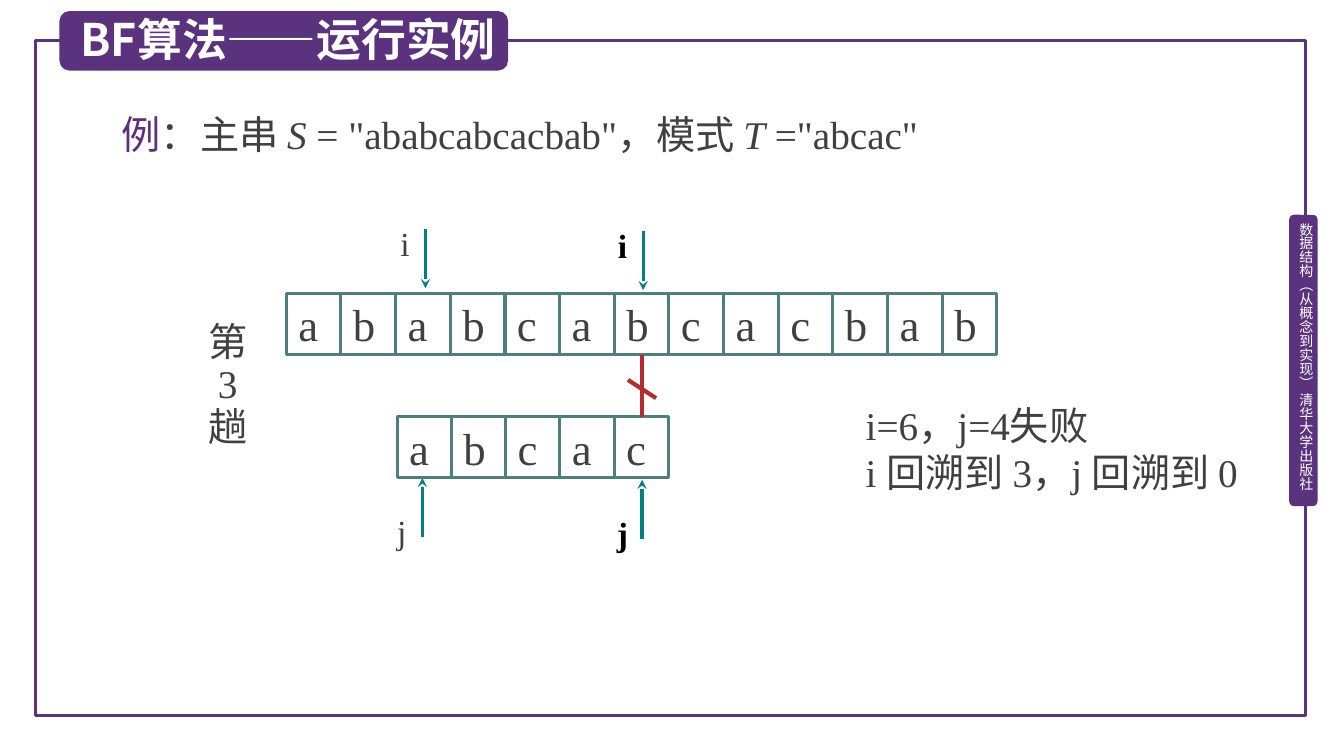
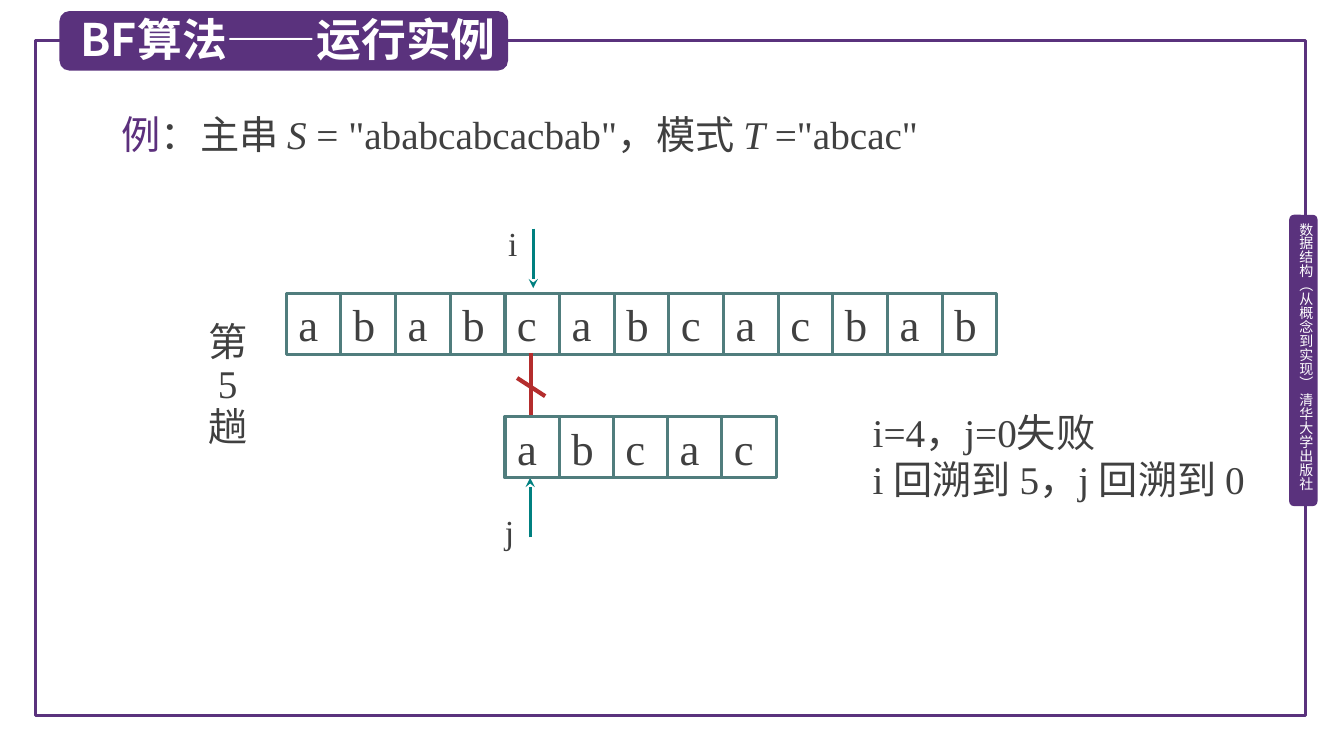
from lxml.etree import SubElement
from pptx import Presentation
from pptx.dml.color import RGBColor
from pptx.enum.shapes import MSO_CONNECTOR as Connector, MSO_SHAPE as Shape
from pptx.enum.text import MSO_ANCHOR as Anchor, MSO_AUTO_SIZE as AutoSize, PP_ALIGN as Align
from pptx.oxml.ns import qn
from pptx.util import Pt

COLORS = {
    "paper": "FFFFFF",
    "purple": "5A327D",
    "accent": "5C307D",
    "ink": "404040",
    "black": "000000",
    "cell": "507D7D",
    "arrow": "008080",
    "miss": "B42D2D",
}
SERIF = "Times New Roman"
SANS = "Noto Sans CJK SC"
MAIN = "ababcabcacbab"
PATTERN = "abcac"
MAIN_TOP, PATTERN_TOP, CELL_HEIGHT = 209.5, 297.4, 43.9
DEFAULT_INSETS = (7.2, 3.6, 7.2, 3.6)


def rgb(name):
    return RGBColor.from_string(COLORS[name])


class Deck:
    def __init__(self):
        self.show = Presentation()
        self.show.slide_width, self.show.slide_height = Pt(960), Pt(540)
        self.slide = None

    def new_slide(self):
        self.slide = self.show.slides.add_slide(self.show.slide_layouts[6])
        backdrop = self.slide.background.fill
        backdrop.solid()
        backdrop.fore_color.rgb = rgb("paper")
        self.box(Shape.RECTANGLE, 25.2, 28.8, 907.2, 482.4, line="purple")
        self.box(Shape.ROUNDED_RECTANGLE, 920.9, 153.4, 20.2, 208.1, fill="purple")
        self.text(926.6, 159.1, 12.2, 202.3, [[("数据结构（从概念到实现） 清华大学出版社", {})]],
                  insets=(0, 0, 0, 0), vertical=True, size=10, font=SANS, color="paper")
        self.box(Shape.ROUNDED_RECTANGLE, 42.5, 7.9, 320.4, 42.5, fill="purple")
        self.text(50.4, 5, 331.2, 46.1, [[("BF算法——运行实例", {"bold": True})]],
                  size=32, font=SANS, color="paper")

    def box(self, kind, left, top, width, height, fill=None, line=None):
        shape = self.slide.shapes.add_shape(kind, Pt(left), Pt(top), Pt(width), Pt(height))
        shape.shadow.inherit = False
        if fill:
            shape.fill.solid()
            shape.fill.fore_color.rgb = rgb(fill)
        else:
            shape.fill.background()
        if line:
            shape.line.color.rgb = rgb(line)
            shape.line.width = Pt(2.25)
        else:
            shape.line.fill.background()
        return shape

    def text(self, left, top, width, height, paragraphs, insets=DEFAULT_INSETS,
             vertical=False, align=Align.LEFT, spacing=None, **style):
        frame = self.slide.shapes.add_textbox(Pt(left), Pt(top), Pt(width), Pt(height)).text_frame
        self.set_frame(frame, insets, auto_size=AutoSize.SHAPE_TO_FIT_TEXT)
        if vertical:
            frame._txBody.bodyPr.set("vert", "eaVert")
        for index, runs in enumerate(paragraphs):
            paragraph = frame.add_paragraph() if index else frame.paragraphs[0]
            paragraph.alignment = align
            paragraph.line_spacing = spacing
            for words, changes in runs:
                self.run(paragraph, words, **{**style, **changes})

    def set_frame(self, frame, insets, **format_values):
        sides = ("margin_left", "margin_top", "margin_right", "margin_bottom")
        values = {**dict(zip(sides, map(Pt, insets))), "word_wrap": True, **format_values}
        for name, value in values.items():
            setattr(frame, name, value)

    def run(self, paragraph, words, size=28, font=SERIF, color="ink", **format_values):
        run = paragraph.add_run()
        run.text = words
        for name, value in {"size": Pt(size), "name": font, **format_values}.items():
            setattr(run.font, name, value)
        run.font.color.rgb = rgb(color)
        SubElement(run._r.get_or_add_rPr(), qn("a:ea")).set("typeface", SANS)

    def line(self, start, end, color, width=2.25, arrow=False):
        line = self.slide.shapes.add_connector(Connector.STRAIGHT, *map(Pt, start + end))
        line.line.color.rgb = rgb(color)
        line.line.width = Pt(width)
        if arrow:
            SubElement(line.get_or_add_ln(), qn("a:tailEnd")).set("type", "stealth")
        SubElement(line._element.spPr, qn("a:effectLst"))

    def cells(self, letters, left, top, width):
        pitch = width / len(letters)
        row = self.box(Shape.RECTANGLE, left, top, width, CELL_HEIGHT, line="cell")
        self.set_frame(row.text_frame, (8.6, 0, 1.4, 0), vertical_anchor=Anchor.MIDDLE)
        paragraph = row.text_frame.paragraphs[0]
        paragraph.alignment = Align.LEFT
        stops = SubElement(paragraph._p.get_or_add_pPr(), qn("a:tabLst"))
        for index in range(1, len(letters)):
            stop = SubElement(stops, qn("a:tab"))
            stop.set("pos", str(Pt(index * pitch)))
            stop.set("algn", "l")
            x = left + index * pitch
            self.line((x, top), (x, top + CELL_HEIGHT), "cell")
        self.run(paragraph, "\t".join(letters), size=32)

    def pointer(self, name, x, tail, head, label_top, **style):
        self.line((x, tail), (x, head), "arrow", arrow=True)
        self.text(x - 18, label_top, 18, 36, [[(name, {})]],
                  insets=(0, 3.6, 0, 3.6), size=24, **style)

    def pointers(self, i_x, j_x, drop=0, **style):
        self.pointer("i", i_x, 163.4 + drop, 205.9 + drop, 155.5 + drop, **style)
        self.pointer("j", j_x, 383.8 + drop, 341.3 + drop, 361.4 + drop, **style)

    def mismatch(self, x, top):
        self.line((x, top), (x, top + 44.6), "miss", 3)
        self.line((x - 10, top + 18), (x + 10, top + 31), "miss", 3)

    def matching_round(self, number, pattern_left, miss, result, result_place):
        self.new_slide()
        self.text(79.9, 75.6, 642.2, 41, [[
            ("例", {"color": "accent"}), ("：主串 ", {}), ("S", {"italic": True}),
            (f' = "{MAIN}"，模式 ', {}), ("T", {"italic": True}), (f' ="{PATTERN}"', {}),
        ]], align=Align.JUSTIFY)
        self.cells(MAIN, 204.5, MAIN_TOP, 507.6)
        self.text(141.1, 226.8, 43, 97.9, [[(word, {})] for word in ("第", number, "趟")],
                  align=Align.CENTER, spacing=0.9)
        self.pointers(pattern_left + 20.2, pattern_left + 18)
        self.cells(PATTERN, pattern_left, PATTERN_TOP, 193.7)
        self.mismatch(*miss)
        self.text(*result_place, 74.9, [[(sentence, {})] for sentence in result],
                  align=Align.JUSTIFY)


def main():
    deck = Deck()
    deck.matching_round("3", 283.7, (458.6, 253.4),
                        ("i=6，j=4失败", "i 回溯到 3，j 回溯到 0"), (611.3, 283, 288.7))
    deck.pointers(459.4, 458.6, drop=1.4, bold=True, color="black")
    deck.matching_round("5", 360.7, (379.4, 252),
                        ("i=4，j=0失败", "i 回溯到 5，j 回溯到 0"), (616.3, 288, 295.2))
    deck.show.save("out.pptx")


if __name__ == "__main__":
    main()
